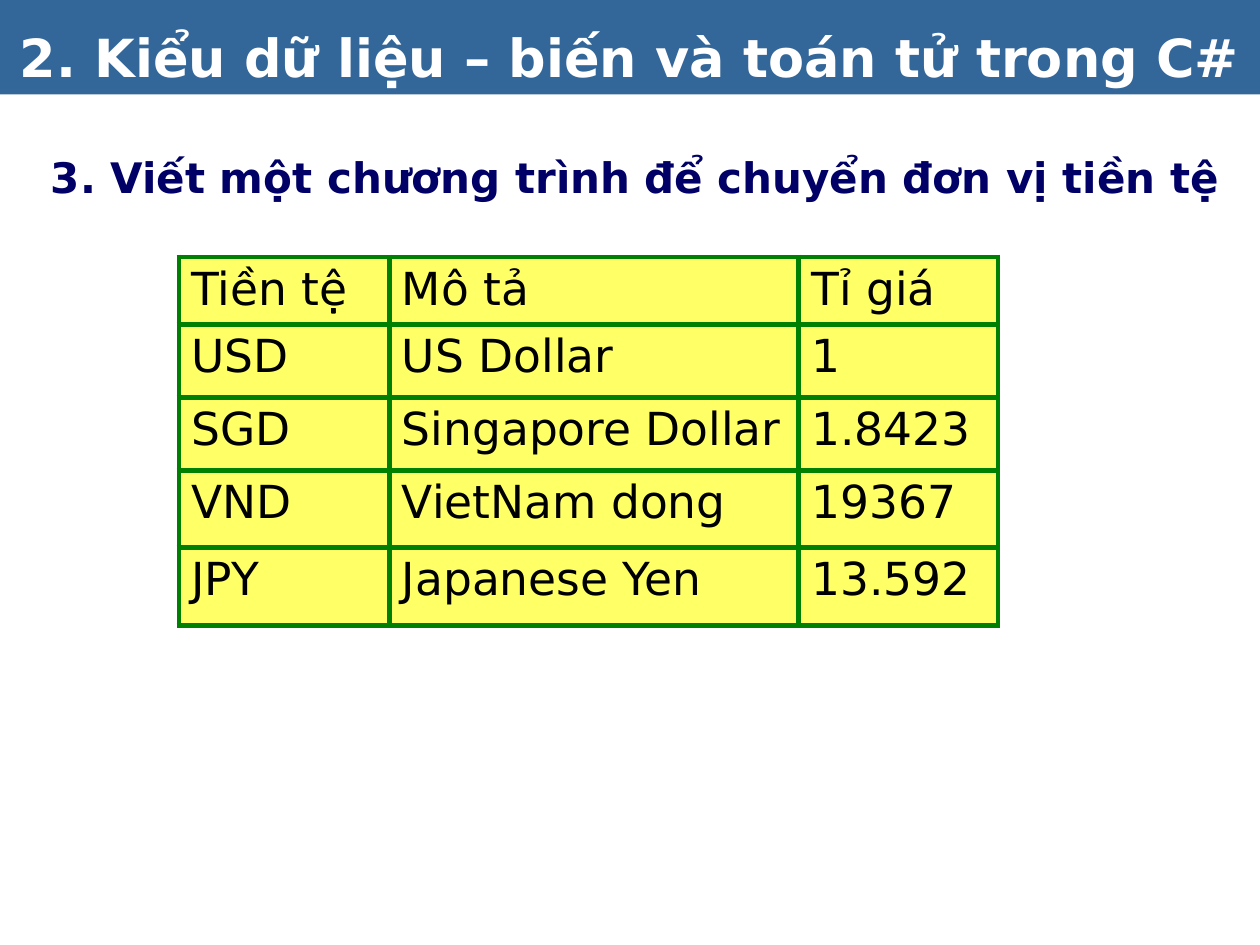
from typing import NamedTuple

from lxml import etree
from pptx import Presentation
from pptx.dml.color import RGBColor
from pptx.enum.shapes import MSO_SHAPE
from pptx.enum.text import MSO_ANCHOR, PP_ALIGN
from pptx.oxml.ns import qn
from pptx.util import Inches, Pt

RECTANGLE = MSO_SHAPE.RECTANGLE
BOTTOM = MSO_ANCHOR.BOTTOM
CENTER = PP_ALIGN.CENTER

FONT = "DejaVu Sans"
WHITE = RGBColor(0xFF, 0xFF, 0xFF)
BLACK = RGBColor(0x00, 0x00, 0x00)
BANNER_BLUE = RGBColor(0x33, 0x66, 0x99)
NAVY = RGBColor(0x00, 0x00, 0x66)
YELLOW = RGBColor(0xFF, 0xFF, 0x66)
GREEN = RGBColor(0x00, 0x80, 0x00)
BORDER_WIDTH = Pt(3)


class Rate(NamedTuple):
    currency: str
    description: str
    value: str


RATES = [
    Rate("Tiền tệ", "Mô tả", "Tỉ giá"),
    Rate("USD", "US Dollar", "1"),
    Rate("SGD", "Singapore Dollar", "1.8423"),
    Rate("VND", "VietNam dong", "19367"),
    Rate("JPY", "Japanese Yen", "13.592"),
]
COLUMN_WIDTHS = [1.67, 3.25, 1.58]
ROW_HEIGHTS = [0.53, 0.58, 0.58, 0.61, 0.62]


def write(frame, text: str, size: int, color: RGBColor, bold: bool = False) -> None:
    """Fill a text frame with one styled paragraph."""
    paragraph = frame.paragraphs[0]
    paragraph.text = text
    paragraph.font.name = FONT
    paragraph.font.size = Pt(size)
    paragraph.font.bold = bold
    paragraph.font.color.rgb = color


def add_borders(cell) -> None:
    """Draw a solid green line on all four sides of a cell."""
    properties = cell._tc.get_or_add_tcPr()
    for position, side in enumerate(("a:lnL", "a:lnR", "a:lnT", "a:lnB")):
        line = etree.Element(qn(side), w=str(BORDER_WIDTH))
        fill = etree.SubElement(line, qn("a:solidFill"))
        etree.SubElement(fill, qn("a:srgbClr"), val=str(GREEN))
        properties.insert(position, line)


def add_banner(slide, text: str) -> None:
    banner = slide.shapes.add_shape(RECTANGLE, 0, 0, Inches(10), Inches(0.75))
    banner.shadow.inherit = False
    banner.fill.solid()
    banner.fill.fore_color.rgb = BANNER_BLUE
    banner.line.fill.background()
    banner.text_frame.vertical_anchor = BOTTOM
    write(banner.text_frame, text, 30, WHITE, bold=True)
    banner.text_frame.paragraphs[0].alignment = CENTER


def add_exercise(slide, text: str) -> None:
    exercise = slide.shapes.add_textbox(
        Inches(0.25), Inches(1.15), Inches(9.58), Inches(0.5))
    exercise.text_frame.word_wrap = True
    write(exercise.text_frame, text, 24, NAVY, bold=True)
    exercise.text_frame.paragraphs[0].alignment = CENTER


def add_rate_table(slide, rates: list[Rate]) -> None:
    table = slide.shapes.add_table(
        len(rates), len(COLUMN_WIDTHS), Inches(1.42), Inches(2.04),
        Inches(sum(COLUMN_WIDTHS)), Inches(sum(ROW_HEIGHTS))).table
    for column, width in zip(table.columns, COLUMN_WIDTHS):
        column.width = Inches(width)
    for row, height, rate in zip(table.rows, ROW_HEIGHTS, rates):
        row.height = Inches(height)
        for cell, text in zip(row.cells, rate):
            write(cell.text_frame, text, 26, BLACK)
            cell.fill.solid()
            cell.fill.fore_color.rgb = YELLOW
            add_borders(cell)


def main() -> None:
    presentation = Presentation()
    presentation.slide_width = Inches(10)
    presentation.slide_height = Inches(7.5)
    slide = presentation.slides.add_slide(presentation.slide_layouts[6])

    # Title banner and exercise heading
    add_banner(slide, "2. Kiểu dữ liệu – biến và toán tử trong C#")
    add_exercise(slide, "3. Viết một chương trình để chuyển đơn vị tiền tệ")

    # Exchange rates
    add_rate_table(slide, RATES)

    presentation.save("out.pptx")


if __name__ == "__main__":
    main()
